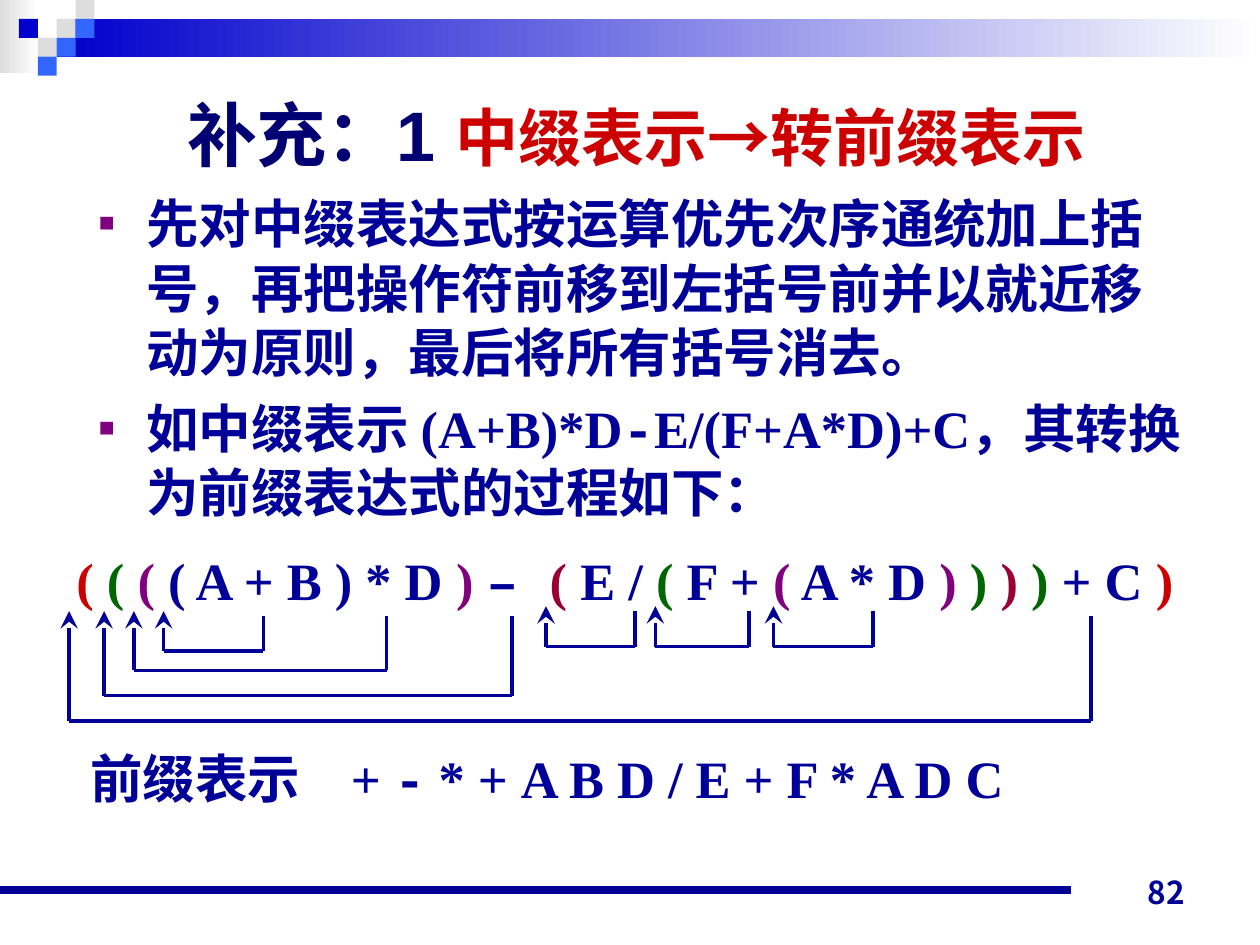
"""Build the slide that turns an infix expression into prefix form."""
from lxml.etree import SubElement
from pptx import Presentation
from pptx.dml.color import RGBColor
from pptx.enum.shapes import MSO_CONNECTOR, MSO_SHAPE
from pptx.enum.text import MSO_ANCHOR, MSO_AUTO_SIZE, PP_ALIGN
from pptx.oxml.ns import qn
from pptx.util import Pt

NAVY, RED, GREEN, PURPLE, MAROON = "000099", "CC0000", "006600", "800080", "990033"
TITLE_NAVY, BLUE, SKY, GREY, WHITE = "000073", "0000CC", "3366FF", "DDDDDD", "FFFFFF"
CHINESE, SERIF, MONO, SANS = "Noto Sans CJK SC", "Times New Roman", "Courier New", "Arial"


def colour(value):
    return RGBColor.from_string(value)


def add_text(paragraph, text, size=30, font=SERIF, fill=NAVY):
    run = paragraph.add_run()
    run.text = text
    run.font.size = Pt(size)
    run.font.bold = True
    run.font.name = font
    run.font.color.rgb = colour(fill)
    SubElement(run.font._element, qn("a:ea"), typeface=CHINESE)


class SlideBuilder:
    def __init__(self, slide):
        self.slide = slide

    def title(self, left, top, width, height, runs):
        title = self.slide.shapes.title
        title.left, title.top, title.width, title.height = map(Pt, (left, top, width, height))
        frame = title.text_frame
        frame.auto_size = MSO_AUTO_SIZE.NONE
        frame.vertical_anchor = MSO_ANCHOR.MIDDLE
        paragraph = frame.paragraphs[0]
        paragraph.alignment = PP_ALIGN.CENTER
        for text, style in runs:
            add_text(paragraph, text, **style)

    def rectangle(self, left, top, width, height, fill, fade=None):
        shape = self.slide.shapes.add_shape(
            MSO_SHAPE.RECTANGLE, Pt(left), Pt(top), Pt(width), Pt(height))
        shape.shadow.inherit = False
        shape.line.fill.background()
        if fade:
            shape.fill.gradient()
            shape.fill.gradient_angle = 0
            for stop, value in zip(shape.fill.gradient_stops, (fill, fade)):
                stop.color.rgb = colour(value)
        else:
            shape.fill.solid()
            shape.fill.fore_color.rgb = colour(fill)

    def text_box(self, left, top, width, height, paragraphs, wrap=True,
                 align=PP_ALIGN.LEFT, anchor=MSO_ANCHOR.TOP):
        box = self.slide.shapes.add_textbox(Pt(left), Pt(top), Pt(width), Pt(height))
        frame = box.text_frame
        frame.word_wrap = wrap
        frame.vertical_anchor = anchor
        for index, runs in enumerate(paragraphs):
            paragraph = frame.add_paragraph() if index else frame.paragraphs[0]
            paragraph.alignment = align
            for text, style in runs:
                add_text(paragraph, text, **style)
        return frame

    def bullets(self, left, top, width, height, paragraphs):
        frame = self.text_box(left, top, width, height, paragraphs)
        for index, paragraph in enumerate(frame.paragraphs):
            paragraph.line_spacing = Pt(37)
            if index:
                paragraph.space_before = Pt(6)
            properties = paragraph._p.get_or_add_pPr()
            properties.set("marL", str(Pt(27)))
            properties.set("indent", str(-Pt(27)))
            bullet_colour = SubElement(properties, qn("a:buClr"))
            SubElement(bullet_colour, qn("a:srgbClr"), val=PURPLE)
            SubElement(properties, qn("a:buSzPct"), val="50000")
            SubElement(properties, qn("a:buFont"), typeface=SANS)
            SubElement(properties, qn("a:buChar"), char="■")

    def tabbed_line(self, left, top, width, height, runs, tab):
        frame = self.text_box(left, top, width, height, [runs])
        properties = frame.paragraphs[0]._p.get_or_add_pPr()
        tabs = SubElement(properties, qn("a:tabLst"))
        SubElement(tabs, qn("a:tab"), pos=str(Pt(tab)), algn="l")

    def line(self, start, end, width=2, arrow=False):
        connector = self.slide.shapes.add_connector(
            MSO_CONNECTOR.STRAIGHT, *map(Pt, (*start, *end)))
        connector.line.width = Pt(width)
        connector.line.color.rgb = colour(NAVY)
        if arrow:
            SubElement(connector.line._get_or_add_ln(), qn("a:tailEnd"),
                       type="stealth", w="lg", len="lg")
        SubElement(connector._element.spPr, qn("a:effectLst"))

    def move(self, target, operator, bottom, top):
        self.line((target, bottom), (target, top), arrow=True)
        self.line((operator, bottom), (target, bottom), width=1.75)
        self.line((operator, bottom), (operator, top + 2.8))


def main():
    presentation = Presentation()
    presentation.slide_width, presentation.slide_height = Pt(720), Pt(540)
    slide = presentation.slides.add_slide(presentation.slide_layouts[5])
    builder = SlideBuilder(slide)

    builder.rectangle(0, 0, 22, 42, GREY, fade=WHITE)
    builder.rectangle(32.4, 10.8, 687.6, 21.6, BLUE, fade=WHITE)
    square = 10.8
    for column, row, fill in ((3, 1, GREY), (4, 0, GREY), (4, 1, SKY), (2, 2, GREY),
                              (1, 1, BLUE), (3, 2, SKY), (2, 3, SKY)):
        builder.rectangle(column * square, row * square, square, square, fill)
    builder.line((0, 508.5), (612, 508.5), width=4.5)
    builder.text_box(516, 488, 168, 36, [[("82", dict(size=18, font="Noto Sans CJK JP"))]],
                     align=PP_ALIGN.RIGHT, anchor=MSO_ANCHOR.BOTTOM)

    builder.title(39.5, 55, 648, 42.5, [
        ("补充：1 ", dict(size=40, font=SANS, fill=TITLE_NAVY)),
        ("中缀表示", dict(size=36, font=SANS, fill=RED)),
        ("→", dict(size=36, font=MONO, fill=RED)),
        ("转前缀表示", dict(size=36, font=SANS, fill=RED))])

    chinese = dict(font=CHINESE)
    builder.bullets(49.5, 104.5, 633.5, 204, [
        [("先对中缀表达式按运算优先次序通统加上括号，再把操作符前移到左括号前并以就近移动为原则，"
          "最后将所有括号消去。", chinese)],
        [("如中缀表示 ", chinese), ("(A+B)*D", {}), ("-", dict(font=MONO)),
         ("E/(F+A*D)+C", {}), ("，其转换为前缀表达式的过程如下：", chinese)]])

    expression = (
        ("( ", RED), ("( ", GREEN), ("(", PURPLE), (" ( A + B ) * D ", NAVY), (") ", PURPLE),
        ("– ", NAVY), ("(", MAROON), (" E / ", NAVY), ("(", GREEN), (" F + ", NAVY),
        ("(", PURPLE), (" A * D ", NAVY), (") ", PURPLE), (") ", GREEN), (") ", MAROON),
        (")", GREEN), (" + C ", NAVY), (")", RED))
    builder.text_box(36.5, 309.5, 649.5, 43, [[
        (text, dict(fill=fill, font=MONO if text == "– " else SERIF))
        for text, fill in expression]], wrap=False)

    for target, operator, bottom in ((93.5, 150.5, 372), (76.5, 221, 383),
                                     (59.5, 292.5, 397.5), (39.5, 623.5, 412)):
        builder.move(target, operator, bottom, 349.2)
    for target, operator in ((312, 363), (374.5, 428), (442, 499)):
        builder.move(target, operator, 369.5, 346.4)

    builder.tabbed_line(44.5, 422.5, 560, 43, [
        ("前缀表示\t+ ", {}), ("-", dict(font=MONO)),
        (" * + A B D / E + F * A D C", {})], tab=149)

    presentation.save("out.pptx")


if __name__ == "__main__":
    main()
